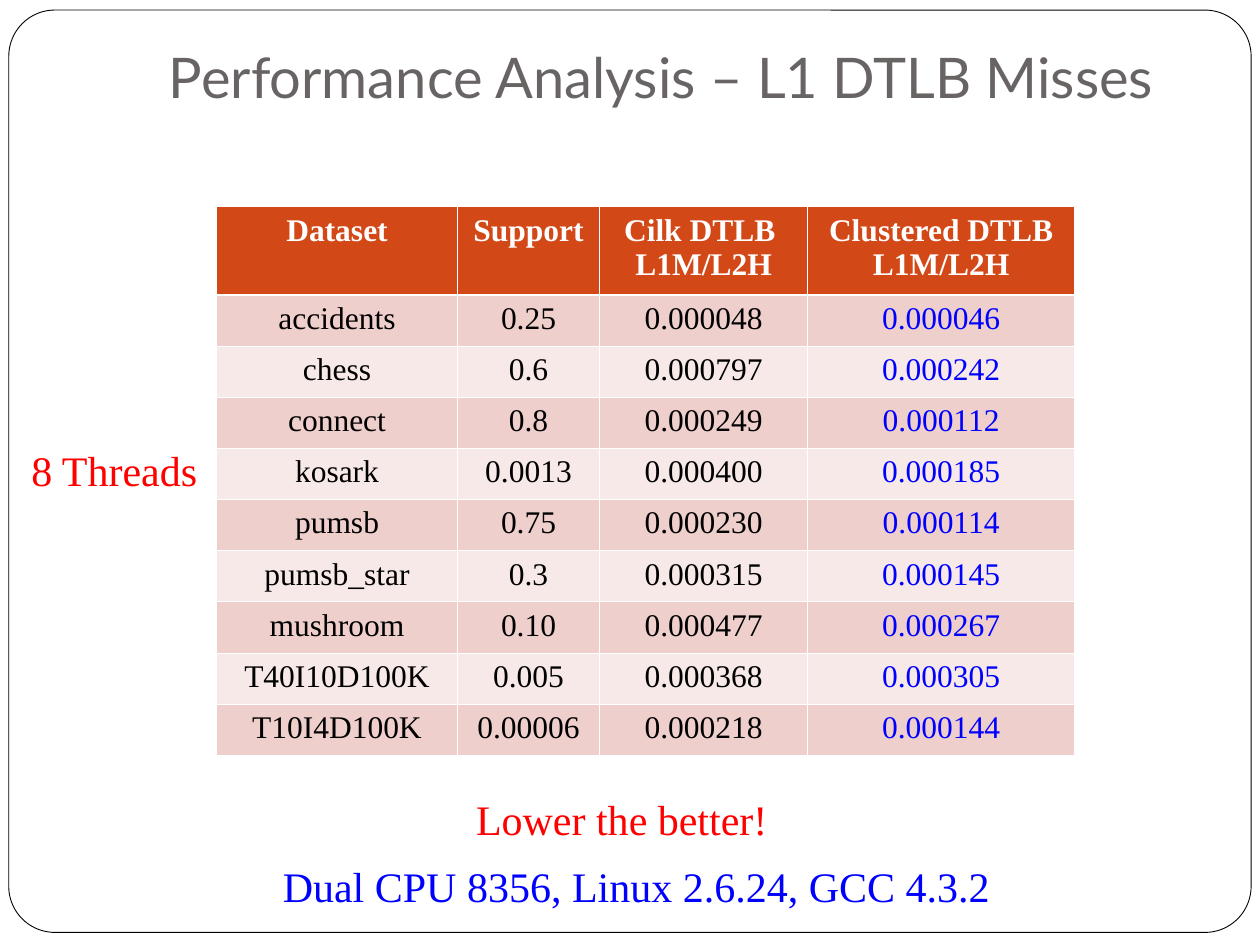
import pptx
import pptx.dml.color
import pptx.enum.shapes
import pptx.enum.text
import pptx.oxml
import pptx.oxml.ns
import pptx.util

RGB = pptx.dml.color.RGBColor
ALIGN = pptx.enum.text.PP_ALIGN
ANCHOR = pptx.enum.text.MSO_ANCHOR

WHITE = RGB(0xFF, 0xFF, 0xFF)
BLACK = RGB(0x00, 0x00, 0x00)
GREY = RGB(0x69, 0x64, 0x64)
RED = RGB(0xFF, 0x00, 0x00)
BLUE = RGB(0x00, 0x00, 0xFF)
RUST = RGB(0xD3, 0x48, 0x17)
ROSE = RGB(0xEF, 0xCF, 0xCC)
BLUSH = RGB(0xF7, 0xE9, 0xE7)

WIDE, HIGH = 100, 75  # grid columns and rows on the slide

HEAD = ["Dataset", "Support", "Cilk DTLB \nL1M/L2H", "Clustered DTLB\nL1M/L2H"]
ROWS = [
    ["accidents", "0.25", "0.000048", "0.000046"],
    ["chess", "0.6", "0.000797", "0.000242"],
    ["connect", "0.8", "0.000249", "0.000112"],
    ["kosark", "0.0013", "0.000400", "0.000185"],
    ["pumsb", "0.75", "0.000230", "0.000114"],
    ["pumsb_star", "0.3", "0.000315", "0.000145"],
    ["mushroom", "0.10", "0.000477", "0.000267"],
    ["T40I10D100K", "0.005", "0.000368", "0.000305"],
    ["T10I4D100K", "0.00006", "0.000218", "0.000144"],
]


def write(frame, text, size=24, color=BLACK, font="Times New Roman",
          bold=False, align=ALIGN.CENTER):
    """Fill a text frame, one paragraph for each line of text."""
    frame.text = text
    for para in frame.paragraphs:
        para.alignment = align
        for run in para.runs:
            run.font.name = font
            run.font.size = pptx.util.Pt(size)
            run.font.bold = bold
            run.font.color.rgb = color


def edge(cell, side, width):
    """Draw a white border on one side (L, R, T or B) of a cell."""
    props = cell._tc.get_or_add_tcPr()
    line = pptx.oxml.parse_xml(
        f'<a:ln{side} {pptx.oxml.ns.nsdecls("a")} w="{pptx.util.Pt(width)}">'
        f'<a:solidFill><a:srgbClr val="{WHITE}"/></a:solidFill></a:ln{side}>')
    props.append(line)


class Deck:
    """Holds the file, the current slide and the grid it is laid out on."""

    def __init__(self):
        self.file = pptx.Presentation()
        self.file.slide_width = pptx.util.Inches(10)
        self.file.slide_height = pptx.util.Inches(7.5)
        self.slide = self.file.slides.add_slide(self.file.slide_layouts[6])

    def across(self, cols):
        return round(self.file.slide_width * cols / WIDE)

    def down(self, rows):
        return round(self.file.slide_height * rows / HIGH)

    def place(self, left, top, width, height):
        return (self.across(left), self.down(top),
                self.across(width), self.down(height))

    def frame(self, *spot, curve):
        kind = pptx.enum.shapes.MSO_SHAPE.ROUNDED_RECTANGLE
        shape = self.slide.shapes.add_shape(kind, *self.place(*spot))
        shape.adjustments[0] = curve
        shape.shadow.inherit = False
        shape.fill.solid()
        shape.fill.fore_color.rgb = WHITE
        shape.line.color.rgb = BLACK
        shape.line.width = pptx.util.Pt(0.5)

    def label(self, text, *spot, anchor=ANCHOR.TOP, foot=0.5, **style):
        box = self.slide.shapes.add_textbox(*self.place(*spot)).text_frame
        box.word_wrap = True
        box.vertical_anchor = anchor
        box.margin_bottom = self.down(foot)
        write(box, text, **style)

    def table(self, left, top, widths, first, each):
        count = len(ROWS) + 1
        spot = self.place(left, top, sum(widths), first + each * len(ROWS))
        grid = self.slide.shapes.add_table(count, len(widths), *spot).table
        for col, width in zip(grid.columns, widths):
            col.width = self.across(width)
        for r, values in enumerate([HEAD] + ROWS):
            grid.rows[r].height = self.down(each if r else first)
            for c, value in enumerate(values):
                self.cell(grid.cell(r, c), value, r, c == len(widths) - 1)

    def cell(self, cell, value, row, last):
        """Style one cell; the last column of the body is blue."""
        for side, thick in (("L", False), ("R", False),
                            ("T", row == 1), ("B", row == 0)):
            edge(cell, side, 1.5 if thick else 0.45)
        cell.fill.solid()
        if row == 0:
            cell.fill.fore_color.rgb = RUST
            color = WHITE
        else:
            cell.fill.fore_color.rgb = ROSE if row % 2 else BLUSH
            color = BLUE if last else BLACK
        write(cell.text_frame, value, size=18, color=color, bold=row == 0)


def main():
    deck = Deck()
    deck.frame(0.7, 0.8, 98.6, 73.2, curve=0.05)
    deck.label("Performance Analysis – L1 DTLB Misses", 10, 1, 85, 8.7,
               anchor=ANCHOR.BOTTOM, foot=1, size=32, color=GREY, font="Lato")
    deck.table(17.2, 16.4, [19.1, 11.3, 16.5, 21.2], first=7, each=4.06)
    deck.label("8 Threads", 1.5, 34.8, 17.4, 5, color=RED, align=ALIGN.LEFT)
    deck.label("Lower the better!", 36.8, 62.5, 29, 5, color=RED,
               align=ALIGN.LEFT)
    deck.label("Dual CPU 8356, Linux 2.6.24, GCC 4.3.2", 13.1, 67.8, 74.8, 5,
               color=BLUE)
    deck.file.save("out.pptx")


if __name__ == "__main__":
    main()
